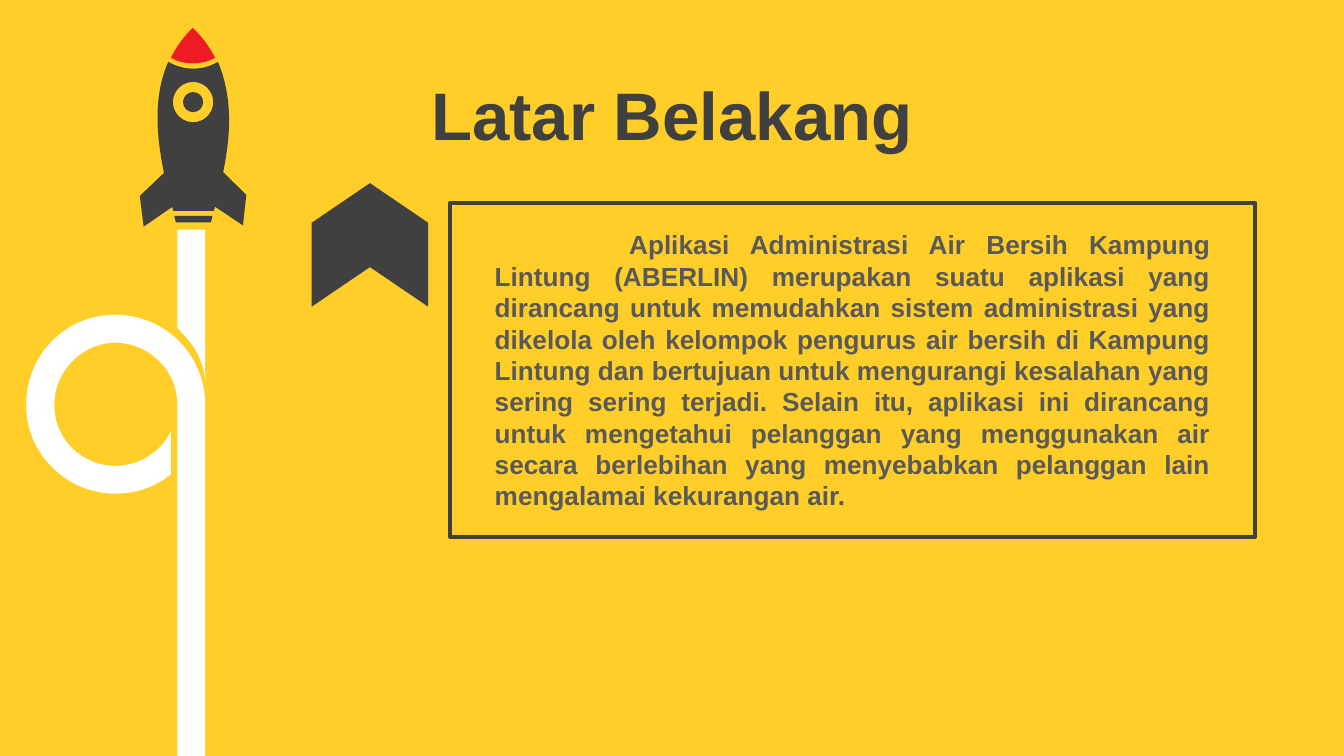
"""Build the "Latar Belakang" slide: a rocket with a looping trail beside a framed paragraph."""
from dataclasses import dataclass, field
from typing import Optional

from lxml import etree
from pptx import Presentation
from pptx.dml.color import RGBColor
from pptx.enum import shapes, text
from pptx.oxml import ns
from pptx.util import Pt

COLORS = {"yellow": "FFCE29", "white": "FFFFFF", "dark": "404040", "grey": "595959", "red": "ED1C24"}
SHAPE = shapes.MSO_SHAPE

TITLE = "Latar Belakang"
BODY = (
    "Aplikasi Administrasi Air Bersih Kampung Lintung (ABERLIN) merupakan suatu aplikasi "
    "yang dirancang untuk memudahkan sistem administrasi yang dikelola oleh kelompok pengurus "
    "air bersih di Kampung Lintung dan bertujuan untuk mengurangi kesalahan yang sering sering "
    "terjadi. Selain itu, aplikasi ini dirancang untuk mengetahui pelanggan yang menggunakan air "
    "secara berlebihan yang menyebabkan pelanggan lain mengalamai kekurangan air."
)


@dataclass
class Outline:
    """Contours whose steps are line ends (2 numbers) or cubic curves (6 numbers)."""
    color: str
    contours: list


@dataclass
class Block:
    """A preset shape with its frame in points."""
    kind: SHAPE
    frame: tuple
    fill: Optional[str] = None
    line: Optional[str] = None
    rotation: float = 0
    adjustments: tuple = ()


@dataclass
class Label:
    """Text with its font, paragraph and frame formats."""
    content: str
    color: str
    font: dict
    para: dict
    frame: dict = field(default_factory=dict)
    indent: float = 0


def rgb(name: str) -> RGBColor:
    """Return a palette colour."""
    return RGBColor.from_string(COLORS[name])


def circle(cx: float, cy: float, r: float) -> list:
    """Return a circular contour of four curves."""
    k = 0.55 * r
    return [
        (cx, cy - r),
        (cx + k, cy - r, cx + r, cy - k, cx + r, cy),
        (cx + r, cy + k, cx + k, cy + r, cx, cy + r),
        (cx - k, cy + r, cx - r, cy + k, cx - r, cy),
        (cx - r, cy - k, cx - k, cy - r, cx, cy - r),
    ]


def paint(sp, fill: Optional[str], line: Optional[str] = None) -> None:
    """Set fill and line and drop the shadow."""
    sp.shadow.inherit = False
    if fill:
        sp.fill.solid()
        sp.fill.fore_color.rgb = rgb(fill)
    else:
        sp.fill.background()
    if line:
        sp.line.color.rgb = rgb(line)
        sp.line.width = Pt(2)
    else:
        sp.line.fill.background()


def bend(segment, curve: tuple, left: int, top: int) -> None:
    """Turn a straight segment into a cubic curve."""
    cubic = etree.Element(ns.qn("a:cubicBezTo"))
    for x, y in zip(curve[::2], curve[1::2]):
        etree.SubElement(cubic, ns.qn("a:pt"), x=str(Pt(x) - left), y=str(Pt(y) - top))
    segment.getparent().replace(segment, cubic)


def draw_outline(s, outline: Outline) -> None:
    """Draw all contours as one freeform with true curves."""
    ends = [[(Pt(step[-2]), Pt(step[-1])) for step in contour] for contour in outline.contours]
    builder = s.shapes.build_freeform(*ends[0][0])
    for i, points in enumerate(ends):
        if i:
            builder.move_to(*points[0])
        builder.add_line_segments(points[1:], close=True)
    sp = builder.convert_to_shape()
    left, top = (min(point[axis] for points in ends for point in points) for axis in (0, 1))
    steps = [step for contour in outline.contours for step in contour[1:]]
    for segment, step in zip(list(sp.element.iter(ns.qn("a:lnTo"))), steps):
        if len(step) == 6:
            bend(segment, step, left, top)
    paint(sp, outline.color)


def draw_block(s, block: Block):
    """Draw a preset shape and return it."""
    sp = s.shapes.add_shape(block.kind, *map(Pt, block.frame))
    paint(sp, block.fill, block.line)
    sp.rotation = block.rotation
    for i, value in enumerate(block.adjustments):
        sp.adjustments[i] = value
    return sp


def write(sp, label: Label) -> None:
    """Put formatted text in a shape."""
    tf = sp.text_frame
    p = tf.paragraphs[0]
    r = p.add_run()
    r.text = label.content
    r.font.color.rgb = rgb(label.color)
    for target, formats in ((tf, {"word_wrap": True, **label.frame}), (p, label.para), (r.font, label.font)):
        for name, value in formats.items():
            setattr(target, name, value)
    if label.indent:
        p._p.get_or_add_pPr().set("indent", str(Pt(label.indent)))


LOOP = Outline("white", [
    [(106.6, 217.4), (109.9, 217.4), (109.9, 223.2, 108.7, 229, 106.6, 234.7)],
    [(60.5, 168.7), (87.1, 168, 108.7, 188.6, 109.9, 214.6), (95, 215.3),
     (94.3, 197.3, 79.2, 183.6, 61.2, 183.6), (43.2, 184.3, 28.8, 199.4, 29.2, 217.4),
     (29.2, 235.4, 43.9, 249.6, 61.9, 249.6), (74.9, 249.6, 86.4, 241.9, 91.6, 231.1),
     (91.6, 254.2), (83.5, 260.6, 73.4, 264.5, 61.9, 264.5),
     (36, 264.5, 14.1, 243.4, 14.1, 217.4), (13.7, 190.8, 34.6, 169.2, 60.5, 168.7)],
])
UPPER_TRAIL = Outline("white", [
    [(95, 123), (109.9, 123), (109.9, 204.5), (109.2, 192.2, 103.7, 184.3, 95, 175.7), (95, 123)],
])
ROCKET = Outline("dark", [
    [(93.4, 115.7), (113.9, 115.7), (113.9, 117.2, 113, 118, 113, 119.2), (94.3, 119.2)],
    circle(103.5, 54.7, 5.4),
    circle(103.5, 54.7, 10.8),
    [(90.2, 33.1), (98.6, 38, 108.7, 38, 116.8, 33.1), (125.3, 53.3, 123.3, 74.2, 119.6, 92.2),
     (132, 104.4), (130.2, 120.8), (115.2, 110.7), (114.6, 113), (92.9, 113),
     (92.8, 112.3, 92.4, 111.6, 92.3, 110.9), (77, 121.4), (74.9, 105), (87.8, 92.7),
     (87.8, 92.2), (84.2, 74.2, 81.6, 52.6, 90.2, 33.1)],
])
NOSE = Outline("red", [
    [(103.3, 15), (108.7, 20, 112.5, 25.7, 115.3, 31), (108, 35.1, 98.8, 35.1, 91.6, 31),
     (94.5, 25.2, 98.2, 20, 103.3, 15)],
])
FRAME = Block(SHAPE.RECTANGLE, (241.2, 108.7, 431.3, 178.9), line="dark")
PANEL = Block(SHAPE.ROUND_2_SAME_RECTANGLE, (249.8, 110.9, 414, 167.8))
LOWER_TRAIL = Block(SHAPE.RECTANGLE, (95, 213.1, 14.9, 191.9), fill="white")
ARROW = Block(SHAPE.CHEVRON, (165.1, 100, 66.2, 62.4), fill="dark", rotation=270, adjustments=(0.34,))

HEADING = Label(TITLE, "dark", {"name": "Arial", "size": Pt(36), "bold": True},
                {"alignment": text.PP_ALIGN.CENTER},
                {"vertical_anchor": text.MSO_ANCHOR.MIDDLE})
PARAGRAPH = Label(BODY, "grey", {"name": "Arial", "size": Pt(14), "bold": True},
                  {"alignment": text.PP_ALIGN.JUSTIFY},
                  {"vertical_anchor": text.MSO_ANCHOR.TOP,
                   "auto_size": text.MSO_AUTO_SIZE.SHAPE_TO_FIT_TEXT}, indent=72)


def main() -> None:
    """Compose and save the slide."""
    prs = Presentation()
    prs.slide_width, prs.slide_height = Pt(720), Pt(405)
    s = prs.slides.add_slide(prs.slide_layouts[6])
    s.background.fill.solid()
    s.background.fill.fore_color.rgb = rgb("yellow")
    for outline in (LOOP, UPPER_TRAIL):
        draw_outline(s, outline)
    write(s.shapes.add_textbox(Pt(0), Pt(38.2), Pt(720), Pt(45.4)), HEADING)
    draw_block(s, FRAME)
    write(draw_block(s, PANEL), PARAGRAPH)
    draw_outline(s, ROCKET)
    draw_block(s, LOWER_TRAIL)
    draw_outline(s, NOSE)
    draw_block(s, ARROW)
    prs.save("out.pptx")


if __name__ == "__main__":
    main()
